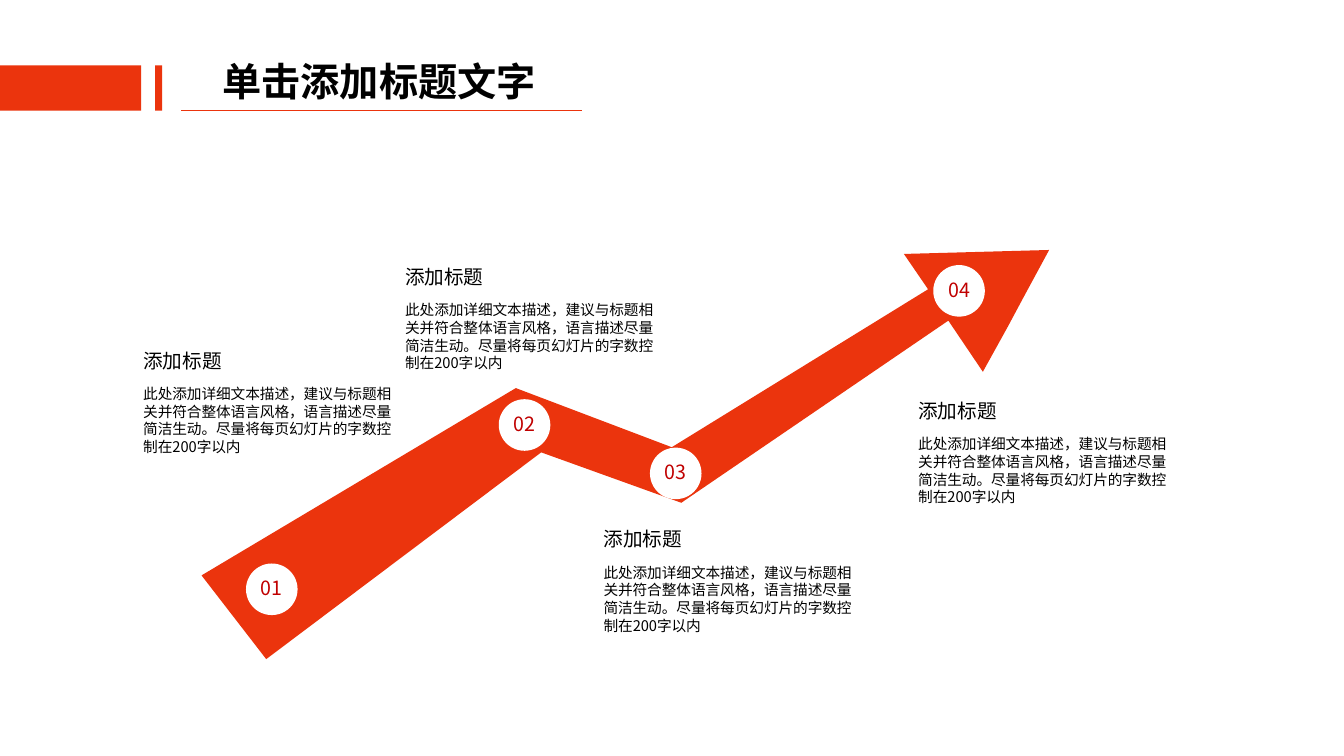
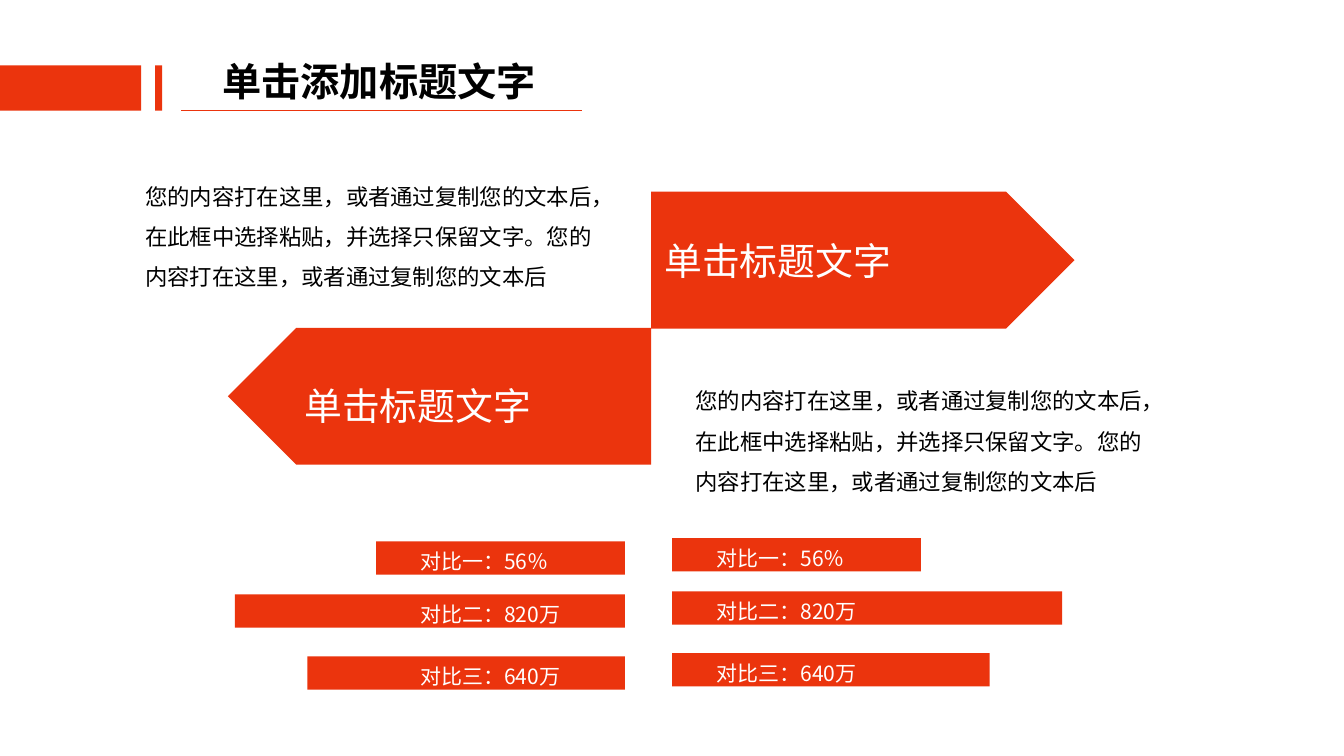
"""Build two slides: a rising four-step arrow and a two-sided comparison."""
import pptx
import pptx.util
import pptx.dml.color
import pptx.enum.shapes
import pptx.enum.text
import pptx.oxml
import pptx.oxml.ns
from pptx.util import Cm

FONT = "Noto Sans CJK SC"
RED, DARK_RED, BLACK, WHITE = "EB340D", "C00000", "000000", "FFFFFF"
SHAPES = pptx.enum.shapes.MSO_SHAPE
ANCHOR = pptx.enum.text.MSO_ANCHOR
ALIGN = pptx.enum.text.PP_ALIGN
AUTO_SIZE = pptx.enum.text.MSO_AUTO_SIZE

TITLE = "单击添加标题文字"
TITLE_BANDS = [(0, 3.56), (3.91, 0.18)]

STEP_HEADING = "添加标题"
STEP_BODY = ("此处添加详细文本描述，建议与标题相关并符合整体语言风格，语言描述尽量简洁生动。"
             "尽量将每页幻灯片的字数控制在200字以内")
STEPS = [
    ("01", (6.2, 14.2), (3.61, 8.71)),
    ("02", (12.57, 10.06), (10.21, 6.6)),
    ("03", (16.38, 11.28), (15.21, 13.21)),
    ("04", (23.52, 6.68), (23.14, 9.98)),
]
ARROW_OUTLINE = [
    (22.78, 6.4), (23.39, 7.29), (16.93, 11.27), (13, 9.78), (5.08, 14.5),
    (6.71, 16.61), (13.64, 11.4), (17.17, 12.67), (23.9, 8.08),
    (24.77, 9.37), (25.4, 8.23), (25.78, 7.52), (26.44, 6.3),
]

SIDE_HEADING = "单击标题文字"
SIDE_BODY = ("您的内容打在这里，或者通过复制您的文本后，在此框中选择粘贴，并选择只保留文字。"
             "您的内容打在这里，或者通过复制您的文本后")
SIDES = [
    {"plate": (5.74, 8.26), "turn": 180, "heading": (7.34, 9.47), "body": (3.33, 4.09),
     "bar_edge": 15.75, "grows_left": True, "bar_top": 13.64, "label_left": 10.26},
    {"plate": (16.41, 4.83), "turn": 0, "heading": (16.41, 5.82), "body": (17.2, 9.25),
     "bar_edge": 16.94, "grows_left": False, "bar_top": 13.56, "label_left": 17.73},
]
COMPARISONS = [
    ("对比一：56％", 0, 6.27, 3.99),
    ("对比二：820万", 1.34, 9.83, 4.29),
    ("对比三：640万", 2.9, 8, 4.29),
]
WIDE_INSETS = (0.33, 0.18)


def color(value):
    """Turn a hex string into a colour."""
    return pptx.dml.color.RGBColor.from_string(value)


def paint(shape, fill):
    """Give a shape a flat fill with no line or shadow."""
    shape.shadow.inherit = False
    shape.fill.solid()
    shape.fill.fore_color.rgb = color(fill)
    shape.line.fill.background()
    return shape


def add_block(slide, kind, left, top, width, height, fill=RED):
    """Add a flat preset shape."""
    return paint(slide.shapes.add_shape(
        kind, Cm(left), Cm(top), Cm(width), Cm(height)), fill)


def write(shape, text, size, ink, insets, bold=False, anchor=ANCHOR.TOP,
          align=ALIGN.LEFT, spacing=None, wrap=True, grow=False):
    """Write one styled paragraph into a shape."""
    frame = shape.text_frame
    frame.word_wrap = wrap
    frame.auto_size = AUTO_SIZE.SHAPE_TO_FIT_TEXT if grow else AUTO_SIZE.NONE
    frame.vertical_anchor = anchor
    frame.margin_left = frame.margin_right = Cm(insets[0])
    frame.margin_top = frame.margin_bottom = Cm(insets[1])
    paragraph = frame.paragraphs[0]
    paragraph.text = text
    paragraph.alignment = align
    if spacing:
        paragraph.line_spacing = spacing
    font = paragraph.font
    font.size = pptx.util.Pt(size)
    font.bold = bold
    font.color.rgb = color(ink)
    font.name = FONT
    defaults = paragraph._p.pPr.find(pptx.oxml.ns.qn("a:defRPr"))
    defaults.append(pptx.oxml.parse_xml(
        f'<a:ea {pptx.oxml.ns.nsdecls("a")} typeface="{FONT}"/>'))


def add_text(slide, left, top, width, height, text, size, ink, insets=(0, 0), **style):
    """Add a text box."""
    box = slide.shapes.add_textbox(Cm(left), Cm(top), Cm(width), Cm(height))
    write(box, text, size, ink, insets, **style)


def add_titled_slide(deck):
    """Add a blank slide with the shared title, bands and rule."""
    slide = deck.slides.add_slide(deck.slide_layouts[6])
    for left, width in TITLE_BANDS:
        add_block(slide, SHAPES.RECTANGLE, left, 1.65, width, 1.14)
    add_text(slide, 5.36, 1.32, 8.48, 1.45, TITLE, 28, BLACK, (0.25, 0.13),
             bold=True, wrap=False, grow=True)
    rule = slide.shapes.add_connector(
        pptx.enum.shapes.MSO_CONNECTOR.STRAIGHT, Cm(4.57), Cm(2.79), Cm(14.66), Cm(2.79))
    rule.line.color.rgb = color(RED)
    rule.line.width = pptx.util.Pt(0.5)
    rule._element.spPr.append(pptx.oxml.parse_xml(
        f'<a:effectLst {pptx.oxml.ns.nsdecls("a")}/>'))
    return slide


def build_steps(deck):
    """Draw the arrow with its four numbered steps."""
    slide = add_titled_slide(deck)
    start, *corners = [(Cm(x), Cm(y)) for x, y in ARROW_OUTLINE]
    outline = slide.shapes.build_freeform(*start)
    outline.add_line_segments(corners, close=True)
    paint(outline.convert_to_shape(), RED)
    for number, badge_at, (left, top) in STEPS:
        badge = add_block(slide, SHAPES.OVAL, *badge_at, 1.3, 1.3, WHITE)
        write(badge, number, 14, DARK_RED, (0, 0), anchor=ANCHOR.MIDDLE,
              align=ALIGN.CENTER, spacing=0.9)
        add_text(slide, left, top, 6.43, 0.81, STEP_HEADING, 14, BLACK, (0, 0.13),
                 anchor=ANCHOR.MIDDLE, spacing=0.9)
        add_text(slide, left, top + 0.99, 6.6, 1.8, STEP_BODY, 10.5, BLACK, grow=True)


def build_comparison(deck):
    """Draw the two opposed arrows and their bars."""
    slide = add_titled_slide(deck)
    for side in SIDES:
        plate = add_block(slide, SHAPES.PENTAGON, *side["plate"], 10.67, 3.45)
        plate.rotation = side["turn"]
        add_text(slide, *side["heading"], 9.07, 1.47, SIDE_HEADING, 27, WHITE,
                 WIDE_INSETS, grow=True)
        add_text(slide, *side["body"], 11.99, 3.43, SIDE_BODY, 16, BLACK,
                 WIDE_INSETS, spacing=1.5, grow=True)
        for label, offset, length, label_width in COMPARISONS:
            top = side["bar_top"] + offset
            left = side["bar_edge"] - (length if side["grows_left"] else 0)
            add_block(slide, SHAPES.RECTANGLE, left, top, length, 0.84)
            add_text(slide, side["label_left"], top, label_width, 0.99, label, 15, WHITE,
                     WIDE_INSETS, wrap=False, grow=True)


def main():
    """Build and save the deck."""
    deck = pptx.Presentation()
    deck.slide_width, deck.slide_height = Cm(33.87), Cm(19.05)
    build_steps(deck)
    build_comparison(deck)
    deck.save("out.pptx")


if __name__ == "__main__":
    main()
